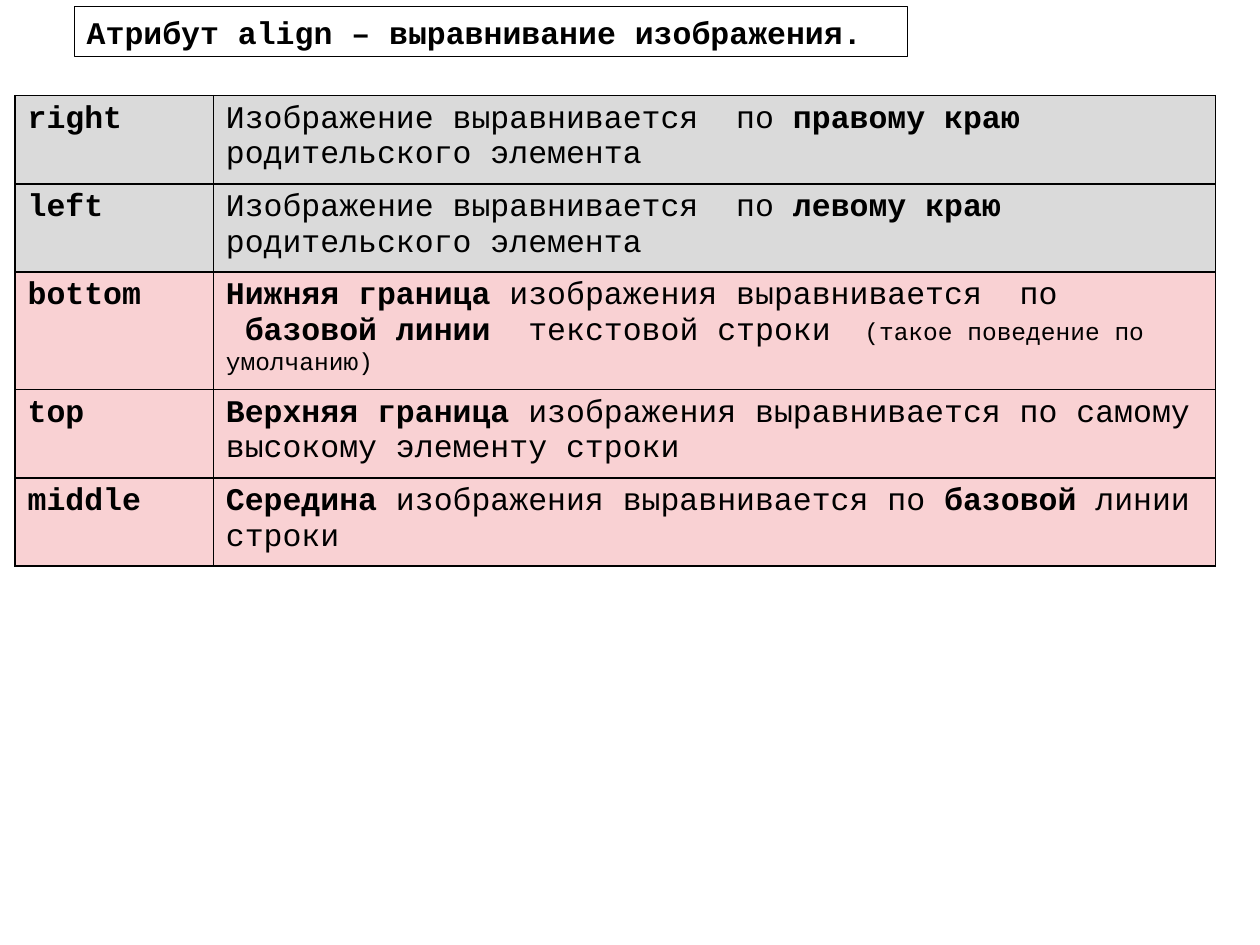
from pptx import Presentation
from pptx.dml.color import RGBColor
from pptx.enum.shapes import MSO_SHAPE
from pptx.enum.text import MSO_ANCHOR, PP_ALIGN
from pptx.oxml import parse_xml
from pptx.oxml.ns import nsdecls
from pptx.util import Pt

GRAY, PINK, BLACK = "DADADA", "F9D1D3", "000000"
rgb = RGBColor.from_string


def add_text(p, text, size=18, bold=False, color=BLACK):
    p.alignment = PP_ALIGN.LEFT
    r = p.add_run()
    r.text = text
    r.font.name = "Courier New"
    r.font.size = Pt(size)
    r.font.bold = bold
    r.font.color.rgb = rgb(color)


def add_borders(cell):
    tc_pr = cell._tc.get_or_add_tcPr()
    for i, side in enumerate(("lnL", "lnR", "lnT", "lnB")):
        tc_pr.insert(i, parse_xml(
            f'<a:{side} {nsdecls("a")} w="12700"><a:solidFill>'
            f'<a:srgbClr val="{BLACK}"/></a:solidFill></a:{side}>'))


prs = Presentation()
prs.slide_width, prs.slide_height = Pt(720), Pt(540)
s = prs.slides.add_slide(prs.slide_layouts[6])

title = s.shapes.add_shape(MSO_SHAPE.RECTANGLE, Pt(42.5), Pt(3.7), Pt(476), Pt(28.8))
title.shadow.inherit = False
title.fill.background()
title.line.color.rgb = rgb(BLACK)
title.line.width = Pt(0.75)
title.text_frame.word_wrap = True
title.text_frame.vertical_anchor = MSO_ANCHOR.TOP
add_text(title.text_frame.paragraphs[0], "Атрибут align – выравнивание изображения.", bold=True)

B = {"bold": True}
N = {}
SMALL = {"size": 14}
rows = [
    ("right", GRAY, 50.4, [[("Изображение выравнивается  по ", N), ("правому краю", B),
                            (" родительского элемента", N)]]),
    ("left", GRAY, 50.4, [[("Изображение выравнивается  по ", N), ("левому краю ", B),
                           ("родительского элемента", N)]]),
    ("bottom", PINK, 67.2, [[("Нижняя граница", B), (" изображения выравнивается  по ", N)],
                            [(" базовой линии  ", B), ("текстовой строки ", N),
                             (" (такое поведение по умолчанию)", SMALL)]]),
    ("top", PINK, 50.4, [[("Верхняя граница", B),
                          (" изображения выравнивается по самому высокому элементу строки", N)]]),
    ("middle", PINK, 50.4, [[("Середина", B), (" изображения выравнивается по ", N),
                             ("базовой", B), (" линии", N)],
                            [("строки", N)]]),
]
col_widths = (113.3, 572.7)
table = s.shapes.add_table(len(rows), 2, Pt(8.6), Pt(54.7), Pt(sum(col_widths)),
                           Pt(sum(row[2] for row in rows))).table
table.first_row = table.horz_banding = False
for column, width in zip(table.columns, col_widths):
    column.width = Pt(width)

for i, (value, fill, height, description) in enumerate(rows):
    table.rows[i].height = Pt(height)
    for j, paragraphs in enumerate(([[(value, B)]], description)):
        cell = table.cell(i, j)
        cell.fill.solid()
        cell.fill.fore_color.rgb = rgb(fill)
        add_borders(cell)
        tf = cell.text_frame
        for k, runs in enumerate(paragraphs):
            p = tf.add_paragraph() if k else tf.paragraphs[0]
            for text, style in runs:
                add_text(p, text, **style)

prs.save("out.pptx")
